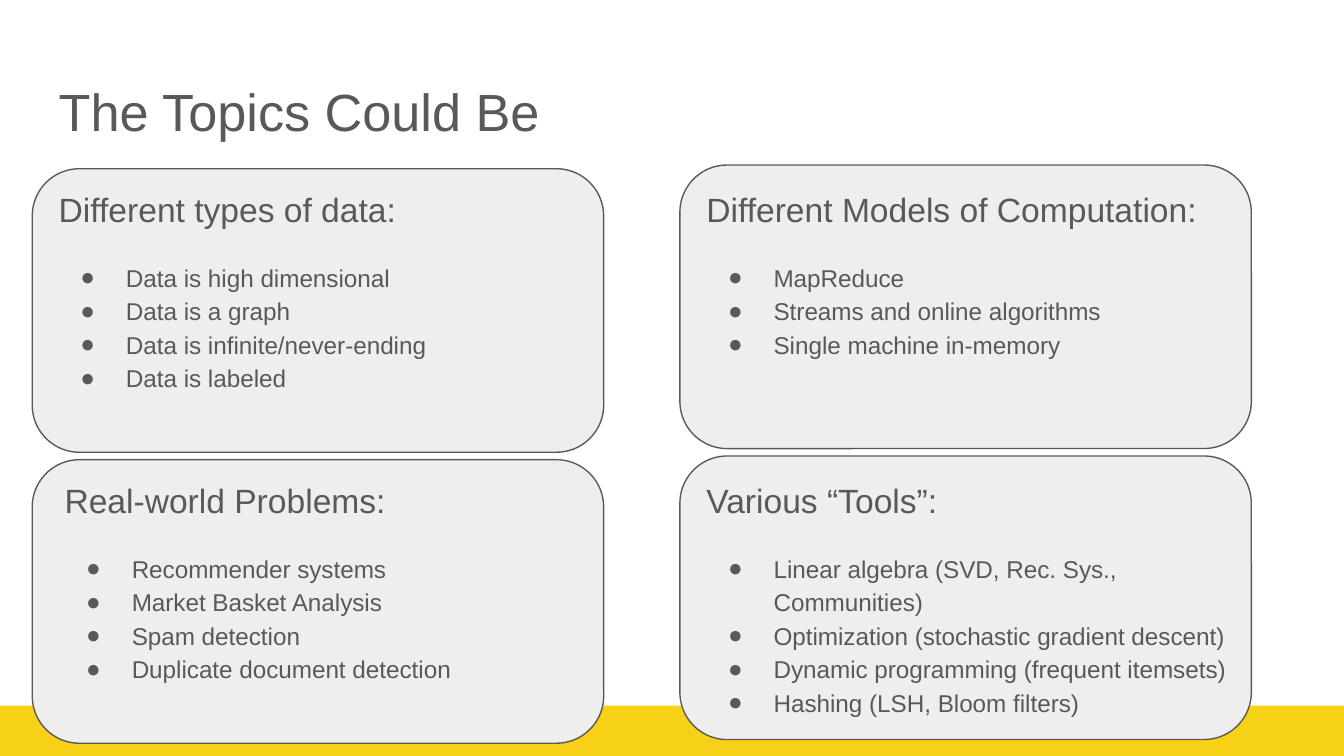
from dataclasses import dataclass

from lxml.etree import SubElement
from pptx import Presentation
from pptx.dml.color import RGBColor
from pptx.enum.shapes import MSO_SHAPE
from pptx.enum.text import MSO_ANCHOR, MSO_AUTO_SIZE, PP_ALIGN
from pptx.oxml.ns import qn
from pptx.util import Cm, Pt


@dataclass(frozen=True)
class Theme:
    font: str = "Arial"
    text: str = "595959"
    panel: str = "EEEEEE"
    band: str = "F7D117"
    title_size: float = 28
    heading_size: float = 18
    bullet_size: float = 13
    line_spacing: float = 1.15


THEME = Theme()
COMPARISON_LAYOUT = 4  # a title and four text placeholders

# Panel grid in cm; the right column sits slightly higher
PANEL_LEFT, PANEL_TOP = 0.61, 3.19
PANEL_WIDTH, PANEL_HEIGHT = 10.8, 5.36
COLUMN_STEP, ROW_STEP = 12.24, 5.5
RIGHT_COLUMN_RISE = 0.07
TEXT_TOP = 3.2

# Column, row, text left, width and height in cm, heading, bullets
TOPICS = [
    (0, 0, 0.86, 10.36, 5.2, "Different types of data:",
     ["Data is high dimensional", "Data is a graph",
      "Data is infinite/never-ending", "Data is labeled"]),
    (1, 0, 13.1, 10.29, 5.05, "Different Models of Computation:",
     ["MapReduce", "Streams and online algorithms",
      "Single machine in-memory"]),
    (0, 1, 0.97, 10.26, 5.2, "Real-world Problems:",
     ["Recommender systems", "Market Basket Analysis", "Spam detection",
      "Duplicate document detection"]),
    (1, 1, 13.1, 10.52, 5.2, "Various “Tools”:",
     ["Linear algebra (SVD, Rec. Sys., Communities)",
      "Optimization (stochastic gradient descent)",
      "Dynamic programming (frequent itemsets)",
      "Hashing (LSH, Bloom filters)"]),
]


def add_block(slide, kind, left, top, width, height, fill, line=None):
    shape = slide.shapes.add_shape(kind, Cm(left), Cm(top), Cm(width), Cm(height))
    shape.shadow.inherit = False
    shape.fill.solid()
    shape.fill.fore_color.rgb = RGBColor.from_string(fill)
    if line:
        shape.line.color.rgb = RGBColor.from_string(line)
        shape.line.width = Pt(0.75)
    else:
        shape.line.fill.background()
    return shape


def place_text(placeholder, left, top, width, height):
    placeholder.left, placeholder.top = Cm(left), Cm(top)
    placeholder.width, placeholder.height = Cm(width), Cm(height)
    frame = placeholder.text_frame
    frame.word_wrap = True
    frame.auto_size = MSO_AUTO_SIZE.NONE
    frame.vertical_anchor = MSO_ANCHOR.TOP
    frame.margin_left = frame.margin_right = Cm(0.25)
    frame.margin_top = frame.margin_bottom = Cm(0.25)
    return frame


def set_bullet(paragraph, character=None):
    properties = paragraph._p.get_or_add_pPr()
    properties.set("marL", str(Cm(1.27) if character else 0))
    properties.set("indent", str(Cm(-0.86) if character else 0))
    if character:
        color = SubElement(properties, qn("a:buClr"))
        SubElement(color, qn("a:srgbClr"), val=THEME.text)
        SubElement(properties, qn("a:buFont"), typeface=THEME.font)
        SubElement(properties, qn("a:buChar"), char=character)
    else:
        SubElement(properties, qn("a:buNone"))


def style_paragraph(paragraph, size, space_before=0):
    paragraph.alignment = PP_ALIGN.LEFT
    paragraph.space_before = Pt(space_before)
    paragraph.font.name = THEME.font
    paragraph.font.size = Pt(size)
    paragraph.font.bold = False
    paragraph.font.color.rgb = RGBColor.from_string(THEME.text)


def fill_title(placeholder, text):
    frame = place_text(placeholder, 0.86, 1.24, 23.67, 1.6)
    frame.text = text
    style_paragraph(frame.paragraphs[0], THEME.title_size)


def fill_topic(frame, heading, bullets):
    frame.text = "\n".join([heading, *bullets])
    for index, paragraph in enumerate(frame.paragraphs):
        set_bullet(paragraph, "●" if index else None)
        paragraph.line_spacing = THEME.line_spacing
        size = THEME.bullet_size if index else THEME.heading_size
        style_paragraph(paragraph, size, 16 if index == 1 else 0)


def main():
    presentation = Presentation()
    presentation.slide_width, presentation.slide_height = Cm(25.4), Cm(14.29)
    slide = presentation.slides.add_slide(
        presentation.slide_layouts[COMPARISON_LAYOUT])
    title, *bodies = [
        shape for shape in slide.placeholders if shape.placeholder_format.idx < 10]

    # Bottom band and panels
    add_block(slide, MSO_SHAPE.RECTANGLE, 0, 13.34, 25.4, 0.95, THEME.band)
    for column, row, *_ in TOPICS:
        add_block(slide, MSO_SHAPE.ROUNDED_RECTANGLE,
                  PANEL_LEFT + column * COLUMN_STEP,
                  PANEL_TOP + row * ROW_STEP - column * RIGHT_COLUMN_RISE,
                  PANEL_WIDTH, PANEL_HEIGHT, THEME.panel, THEME.text)

    # Title and topic lists, brought in front of the panels
    fill_title(title, "The Topics Could Be")
    for body, topic in zip(bodies, TOPICS):
        _, row, left, width, height, heading, bullets = topic
        frame = place_text(body, left, TEXT_TOP + row * ROW_STEP, width, height)
        fill_topic(frame, heading, bullets)
    for placeholder in [title, *bodies]:
        placeholder.element.getparent().append(placeholder.element)

    presentation.save("out.pptx")


if __name__ == "__main__":
    main()
